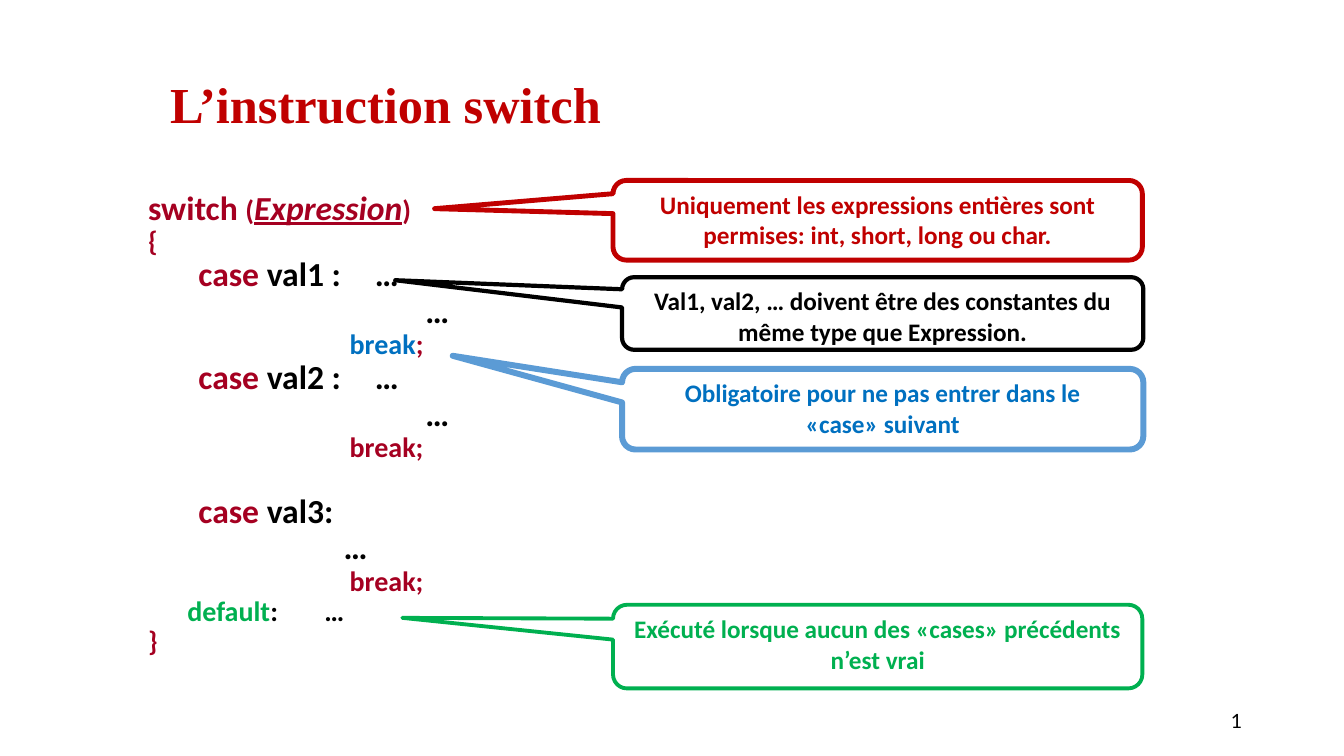
from dataclasses import dataclass

from pptx import Presentation
from pptx.dml.color import RGBColor
from pptx.enum.shapes import MSO_SHAPE as Shape
from pptx.enum.text import MSO_ANCHOR as Anchor, PP_ALIGN as Align
from pptx.util import Inches, Pt


@dataclass(frozen=True)
class Theme:
    red: str = "C00000"
    keyword: str = "A50021"
    black: str = "000000"
    white: str = "FFFFFF"
    blue: str = "0070C0"
    sky: str = "5B9BD5"
    green: str = "00B050"
    body_font: str = "Calibri"
    title_font: str = "Times New Roman"
    number_font: str = "Lato"
    title_size: int = 36
    code_size: int = 24
    small_size: int = 20
    callout_size: int = 18
    number_size: int = 14


THEME = Theme()


def add_span(para, text, color=THEME.black, size=THEME.code_size,
             name=THEME.body_font, bold=True, italic=False, underline=False):
    span = para.add_run()
    span.text = text
    font = span.font
    font.name, font.size = name, Pt(size)
    font.bold, font.italic, font.underline = bold, italic, underline
    font.color.rgb = RGBColor.from_string(color)


def add_frame(page, box, anchor=Anchor.TOP):
    frame = page.shapes.add_textbox(*map(Inches, box)).text_frame
    frame.word_wrap = True
    frame.vertical_anchor = anchor
    return frame


def add_title(page, box, text):
    para = add_frame(page, box, Anchor.MIDDLE).paragraphs[0]
    para.line_spacing = 0.9
    add_span(para, text, color=THEME.red, size=THEME.title_size, name=THEME.title_font)


def add_number(page, box, text):
    para = add_frame(page, box, Anchor.MIDDLE).paragraphs[0]
    para.alignment = Align.RIGHT
    add_span(para, text, size=THEME.number_size, name=THEME.number_font, bold=False)


def add_code(page, box):
    frame = add_frame(page, box)

    def line(*spans, left=0.25, indent=-0.25, before=0):
        para = frame.paragraphs[0]
        if para.runs:
            para = frame.add_paragraph()
        para.line_spacing = 0.9
        if before:
            para.space_before = Pt(before)
        properties = para._p.get_or_add_pPr()
        properties.set("marL", str(Inches(left)))
        properties.set("indent", str(Inches(indent)))
        for text, form in spans:
            add_span(para, text, **form)

    def case_line(label, before=0):
        line(("case", large), (label, {}), left=0.75, before=before)

    def dots_line(left):
        line(("…", {}), left=left, indent=0)

    def break_line(color=THEME.keyword):
        line(("break", dict(small, color=color)), (";", small), left=2.25)

    large = dict(color=THEME.keyword)
    small = dict(color=THEME.keyword, size=THEME.small_size)
    plain = dict(size=THEME.small_size)

    line(("switch ", large), ("(", small),
         ("Expression", dict(large, italic=True, underline=True)), (")", small))
    line(("{", small))
    for label, color in ((" val1 :\t…", THEME.blue), (" val2 :\t…", THEME.keyword)):
        case_line(label)
        dots_line(2.75)
        break_line(color)
    case_line(" val3:", before=22)
    dots_line(1.94)
    break_line()
    line(("default", dict(plain, color=THEME.green)), (":\t…", plain), indent=0.14)
    line(("}", small))


def add_callout(page, box, pointer, color, width, texts, text_color):
    callout = page.shapes.add_shape(Shape.ROUNDED_RECTANGULAR_CALLOUT, *map(Inches, box))
    callout.shadow.inherit = False
    left, top, wide, high = box
    callout.adjustments[0] = (pointer[0] - left) / wide - 0.5
    callout.adjustments[1] = (pointer[1] - top) / high - 0.5
    callout.fill.solid()
    callout.fill.fore_color.rgb = RGBColor.from_string(THEME.white)
    callout.line.color.rgb = RGBColor.from_string(color)
    callout.line.width = Pt(width)
    frame = callout.text_frame
    frame.word_wrap = True
    frame.vertical_anchor = Anchor.TOP
    for index, text in enumerate(texts):
        para = frame.add_paragraph() if index else frame.paragraphs[0]
        para.alignment = Align.CENTER
        add_span(para, text, color=text_color, size=THEME.callout_size)


def build_switch_page(deck):
    page = deck.slides.add_slide(deck.slide_layouts[6])
    add_number(page, (9.42, 6.95, 3, 0.4), "1")
    add_title(page, (1.59, 0.34, 11.5, 1.45), "L’instruction switch")
    add_code(page, (1.37, 1.85, 4.83, 4.5))
    callouts = (
        ((6.08, 1.79, 5.25, 0.79), (4.31, 2.07), THEME.red, 3.5,
         ["Uniquement les expressions entières sont permises: int, short, long ou char."],
         THEME.red),
        ((6.17, 2.75, 5.17, 0.72), (3.92, 2.78), THEME.black, 3,
         ["Val1, val2, … doivent être des constantes du même type que Expression."],
         THEME.black),
        ((6.08, 6, 5.25, 0.83), (3.99, 6.13), THEME.green, 2.75,
         ["Exécuté lorsque aucun des «cases» précédents n’est vrai"], THEME.green),
        ((6.17, 3.66, 5.17, 0.8), (4.49, 3.53), THEME.sky, 4.25,
         ["Obligatoire pour ne pas entrer dans le", "«case» suivant"], THEME.blue),
    )
    for callout in callouts:
        add_callout(page, *callout)


def main():
    deck = Presentation()
    deck.slide_width, deck.slide_height = Inches(13.33), Inches(7.5)
    build_switch_page(deck)
    deck.save("out.pptx")


if __name__ == "__main__":
    main()
